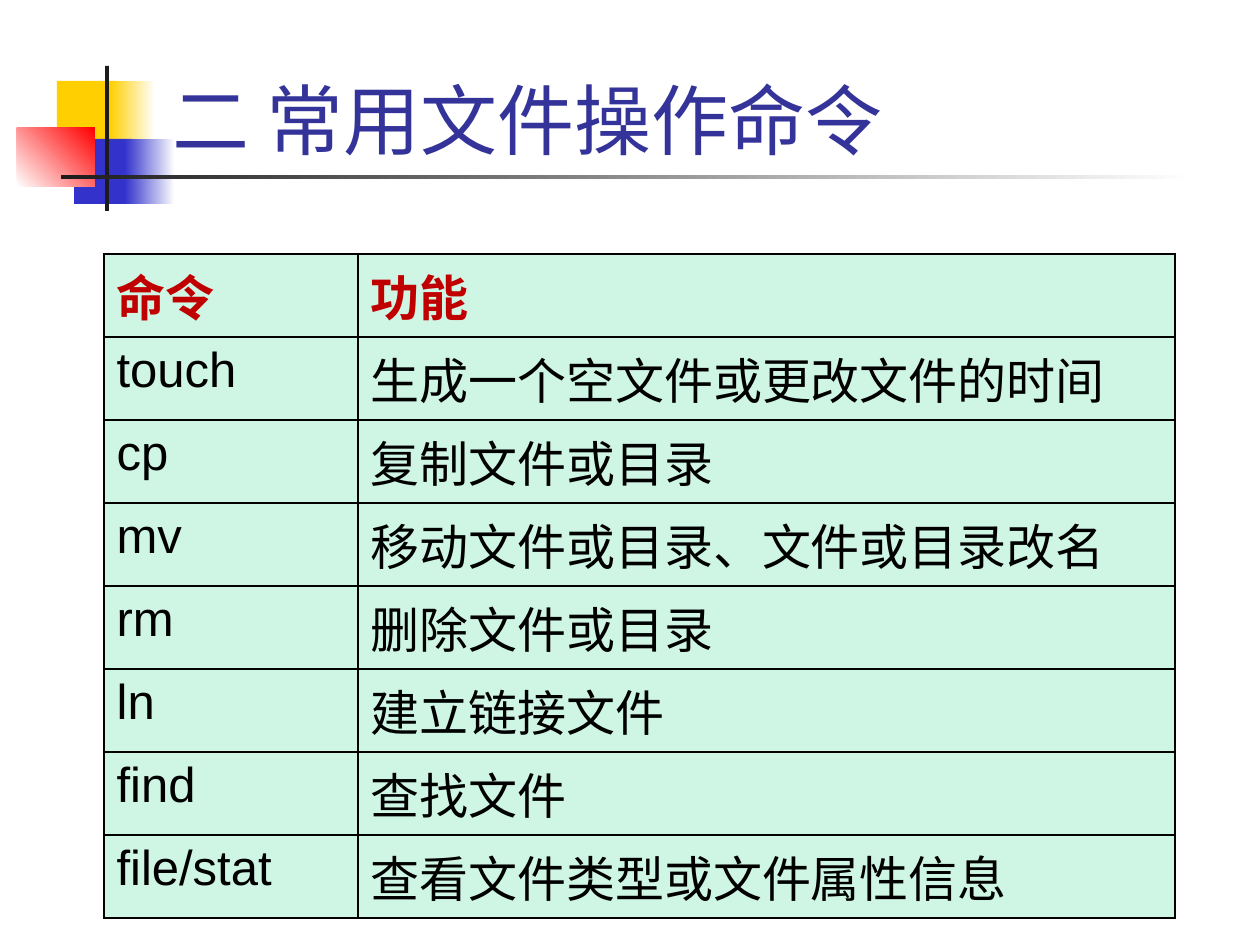
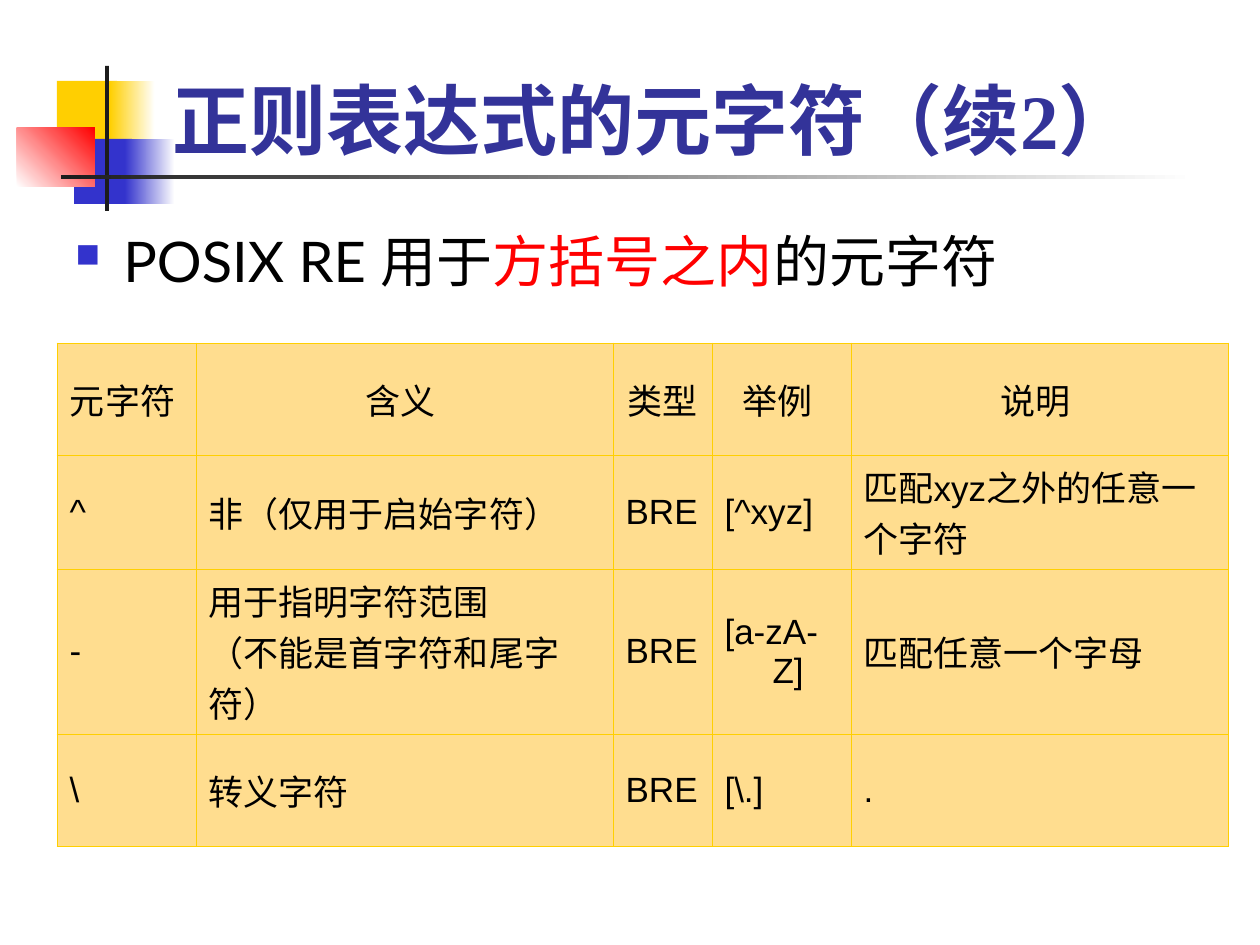
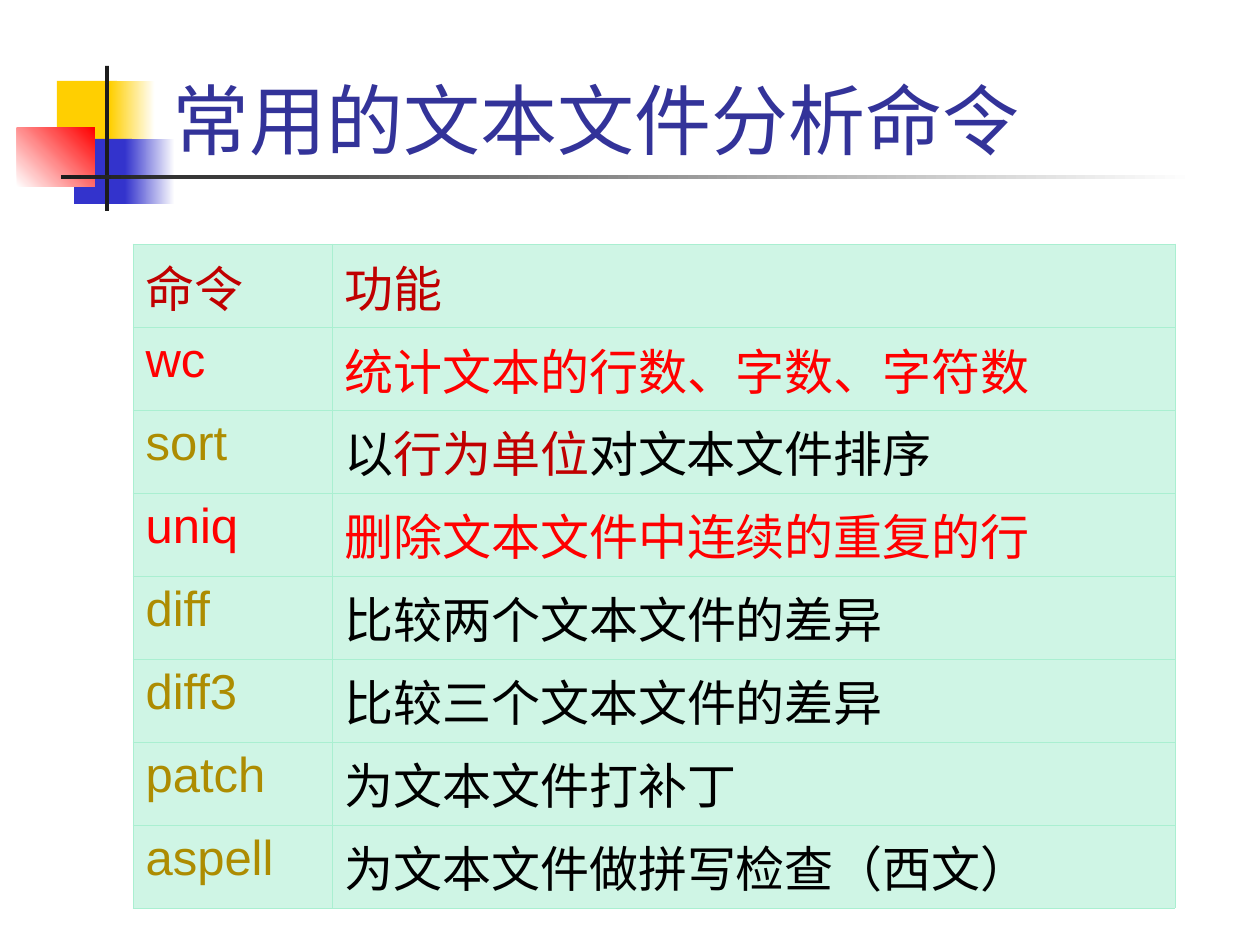
from dataclasses import dataclass

from lxml import etree
from pptx import Presentation
from pptx import util as u
from pptx.dml.color import RGBColor
from pptx.enum import shapes, text
from pptx.oxml.ns import qn


@dataclass(frozen=True)
class Theme:
    white: str = "FFFFFF"
    black: str = "000000"
    ink: str = "1C1C1C"
    gold: str = "FFCF01"
    blue: str = "3333CC"
    red: str = "FF0000"
    title: str = "333399"
    heading: str = "C00000"
    olive: str = "AD8C01"
    mint: str = "CFF5E5"
    mint_line: str = "AAEFD1"
    sand: str = "FFDD8F"
    title_font: str = "Times New Roman"
    body_font: str = "Lato"
    table_font: str = "Arial"
    title_size: int = 44
    body_size: int = 32
    command_size: int = 28
    symbol_size: int = 20


@dataclass(frozen=True)
class Cell:
    spans: tuple
    color: str = Theme.black
    bold: bool = False
    center: bool = False
    hanging: bool = True


@dataclass(frozen=True)
class TableStyle:
    fill: str
    border: str
    border_width: float
    size: int
    anchor: text.MSO_ANCHOR = text.MSO_ANCHOR.TOP


THEME = Theme()
PX_PER_INCH = 126
PAGE = (1260, 945)
HANG = 48
COMMAND_ROWS = [83] * 8


def px(length):
    return u.Emu(round(length * 914400 / PX_PER_INCH))


def rgb(color):
    return RGBColor.from_string(color)


def set_font(font, name, size, color, bold=False):
    font.name = name
    font.size = u.Pt(size)
    font.bold = bold
    font.color.rgb = rgb(color)


def set_hanging(para):
    properties = para._p.get_or_add_pPr()
    properties.set("marL", str(px(HANG)))
    properties.set("indent", str(-px(HANG)))
    return properties


def add_spans(para, spans):
    for content, color in spans:
        span = para.add_run()
        span.text = content
        if color:
            span.font.color.rgb = rgb(color)


def add_block(page, box, start, end=None, angle=0):
    block = page.shapes.add_shape(shapes.MSO_SHAPE.RECTANGLE, *map(px, box))
    block.shadow.inherit = False
    block.line.fill.background()
    if end is None:
        block.fill.solid()
        block.fill.fore_color.rgb = rgb(start)
        return
    block.fill.gradient()
    block.fill.gradient_angle = angle
    for stop, color in zip(block.fill.gradient_stops, (start, end)):
        stop.color.rgb = rgb(color)


def add_emblem(page, left, top):
    blocks = [
        ((40, 15, 60, 66), THEME.gold),
        ((93, 15, 45, 66), THEME.gold, THEME.white),
        ((57, 73, 58, 65), THEME.blue),
        ((108, 73, 50, 65), THEME.blue, THEME.white),
        ((0, 62, 78, 59), THEME.white, THEME.red, 45),
        ((88, 0, 4, 145), THEME.ink),
        ((44, 109, 1134, 4), THEME.ink, THEME.white),
    ]
    for (x, y, width, height), *paint in blocks:
        add_block(page, (left + x, top + y, width, height), *paint)


def add_text_box(page, box, anchor):
    frame = page.shapes.add_textbox(*map(px, box)).text_frame
    frame.word_wrap = True
    frame.vertical_anchor = anchor
    return frame.paragraphs[0]


def add_title(page, box, content, bold):
    para = add_text_box(page, box, text.MSO_ANCHOR.BOTTOM)
    para.text = content
    set_font(para.font, THEME.title_font, THEME.title_size, THEME.title, bold)


def add_bullet(page, box, spans):
    para = add_text_box(page, box, text.MSO_ANCHOR.TOP)
    properties = set_hanging(para)
    bullet_color = etree.SubElement(properties, qn("a:buClr"))
    etree.SubElement(bullet_color, qn("a:srgbClr"), val=THEME.blue)
    etree.SubElement(properties, qn("a:buSzPct"), val="60000")
    etree.SubElement(properties, qn("a:buChar"), char="■")
    set_font(para.font, THEME.body_font, THEME.body_size, THEME.black)
    add_spans(para, spans)


def set_borders(cell, color, width):
    properties = cell._tc.get_or_add_tcPr()
    for side in ("lnL", "lnR", "lnT", "lnB"):
        line = etree.SubElement(properties, qn(f"a:{side}"), w=str(u.Pt(width)))
        fill = etree.SubElement(line, qn("a:solidFill"))
        etree.SubElement(fill, qn("a:srgbClr"), val=color)


def fill_cell(cell, entry, style):
    set_borders(cell, style.border, style.border_width)
    cell.fill.solid()
    cell.fill.fore_color.rgb = rgb(style.fill)
    cell.vertical_anchor = style.anchor
    frame = cell.text_frame
    if len(entry.spans) == 1:
        frame.text = entry.spans[0][0]
    else:
        add_spans(frame.paragraphs[0], entry.spans)
    for para in frame.paragraphs:
        if entry.hanging:
            set_hanging(para)
        if entry.center:
            para.alignment = text.PP_ALIGN.CENTER
        set_font(para.font, THEME.table_font, style.size, entry.color, entry.bold)


def add_grid(page, left, top, columns, heights, entries, style):
    box = (left, top, sum(columns), sum(heights))
    table = page.shapes.add_table(len(heights), len(columns), *map(px, box)).table
    table.first_row = table.horz_banding = False
    for column, width in zip(table.columns, columns):
        column.width = px(width)
    for row, height, row_entries in zip(table.rows, heights, entries):
        row.height = px(height)
        for cell, entry in zip(row.cells, row_entries):
            fill_cell(cell, entry, style)


def plain(content, **options):
    return Cell(((content, None),), **options)


def plain_row(contents, **options):
    return [plain(content, **options) for content in contents]


def add_page(deck, title, bold=False):
    page = deck.slides.add_slide(deck.slide_layouts[6])
    add_emblem(page, 17, 66)
    add_title(page, (160, 26, 1073, 145), title, bold)
    return page


def build_file_commands(deck):
    page = add_page(deck, "二 常用文件操作命令")
    commands = [
        ("touch", "生成一个空文件或更改文件的时间"),
        ("cp", "复制文件或目录"),
        ("mv", "移动文件或目录、文件或目录改名"),
        ("rm", "删除文件或目录"),
        ("ln", "建立链接文件"),
        ("find", "查找文件"),
        ("file/stat", "查看文件类型或文件属性信息"),
    ]
    entries = [plain_row(("命令", "功能"), color=THEME.heading, bold=True)]
    entries += [plain_row(command) for command in commands]
    style = TableStyle(THEME.mint, THEME.black, 1, THEME.command_size)
    add_grid(page, 104, 254, (254, 817), COMMAND_ROWS, entries, style)


def build_metacharacters(deck):
    page = add_page(deck, "正则表达式的元字符（续2）", bold=True)
    spans = [("POSIX RE 用于", None), ("方括号之内", THEME.red), ("的元字符", None)]
    add_bullet(page, (63, 220, 1134, 73), spans)
    header = ("元字符 ", "含义 ", "类型 ", "举例 ", "说明 ")
    entries = [
        plain_row(header, center=True),
        plain_row(("^", "非（仅用于启始字符）", "BRE", "[^xyz]"))
        + [plain("匹配xyz之外的任意一个字符", hanging=False)],
        [
            plain("-"),
            plain("用于指明字符范围\n（不能是首字符和尾字符）", hanging=False),
            *plain_row(("BRE", "[a-zA-Z]", "匹配任意一个字母")),
        ],
        plain_row(("\\", "转义字符", "BRE", "[\\.]", ".")),
    ]
    style = TableStyle(
        THEME.sand, THEME.gold, 0.5, THEME.symbol_size, text.MSO_ANCHOR.MIDDLE
    )
    columns = (139, 417, 99, 139, 377)
    add_grid(page, 57, 343, columns, (112, 114, 165, 113), entries, style)


def build_text_commands(deck):
    page = add_page(deck, "常用的文本文件分析命令")
    sort_spans = (("以", None), ("行为单位", THEME.heading), ("对文本文件排序", None))
    commands = [
        ("diff", "比较两个文本文件的差异"),
        ("diff3", "比较三个文本文件的差异"),
        ("patch", "为文本文件打补丁"),
        ("aspell", "为文本文件做拼写检查（西文）"),
    ]
    entries = [
        plain_row(("命令", "功能"), color=THEME.heading),
        plain_row(("wc", "统计文本的行数、字数、字符数"), color=THEME.red),
        [plain("sort", color=THEME.olive), Cell(sort_spans)],
        plain_row(("uniq", "删除文本文件中连续的重复的行"), color=THEME.red),
    ]
    entries += [
        [plain(name, color=THEME.olive), plain(purpose)] for name, purpose in commands
    ]
    style = TableStyle(THEME.mint, THEME.mint_line, 0.5, THEME.command_size)
    add_grid(page, 133, 244, (199, 843), COMMAND_ROWS, entries, style)


def main():
    deck = Presentation()
    deck.slide_width, deck.slide_height = map(px, PAGE)
    build_file_commands(deck)
    build_metacharacters(deck)
    build_text_commands(deck)
    deck.save("out.pptx")


if __name__ == "__main__":
    main()
